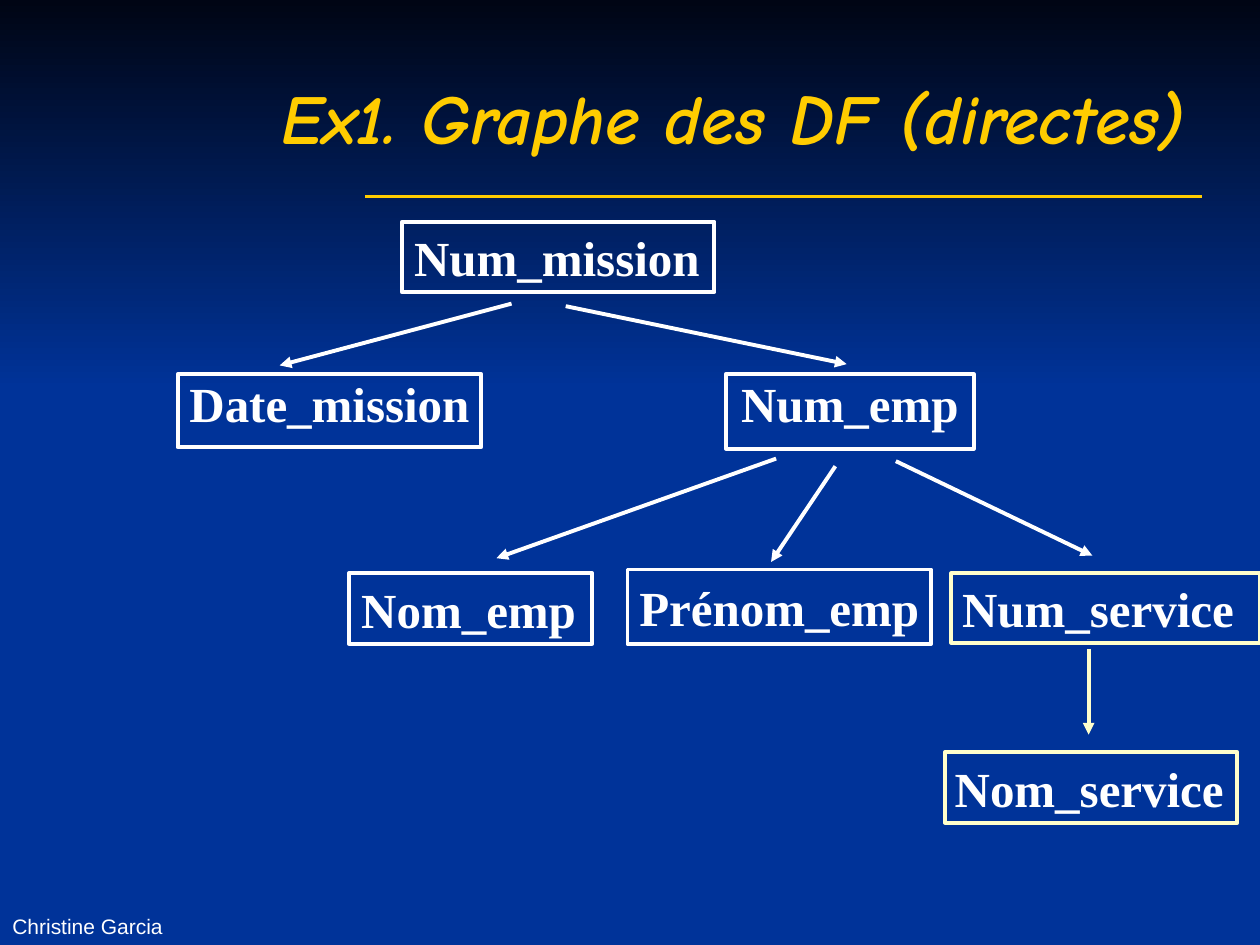
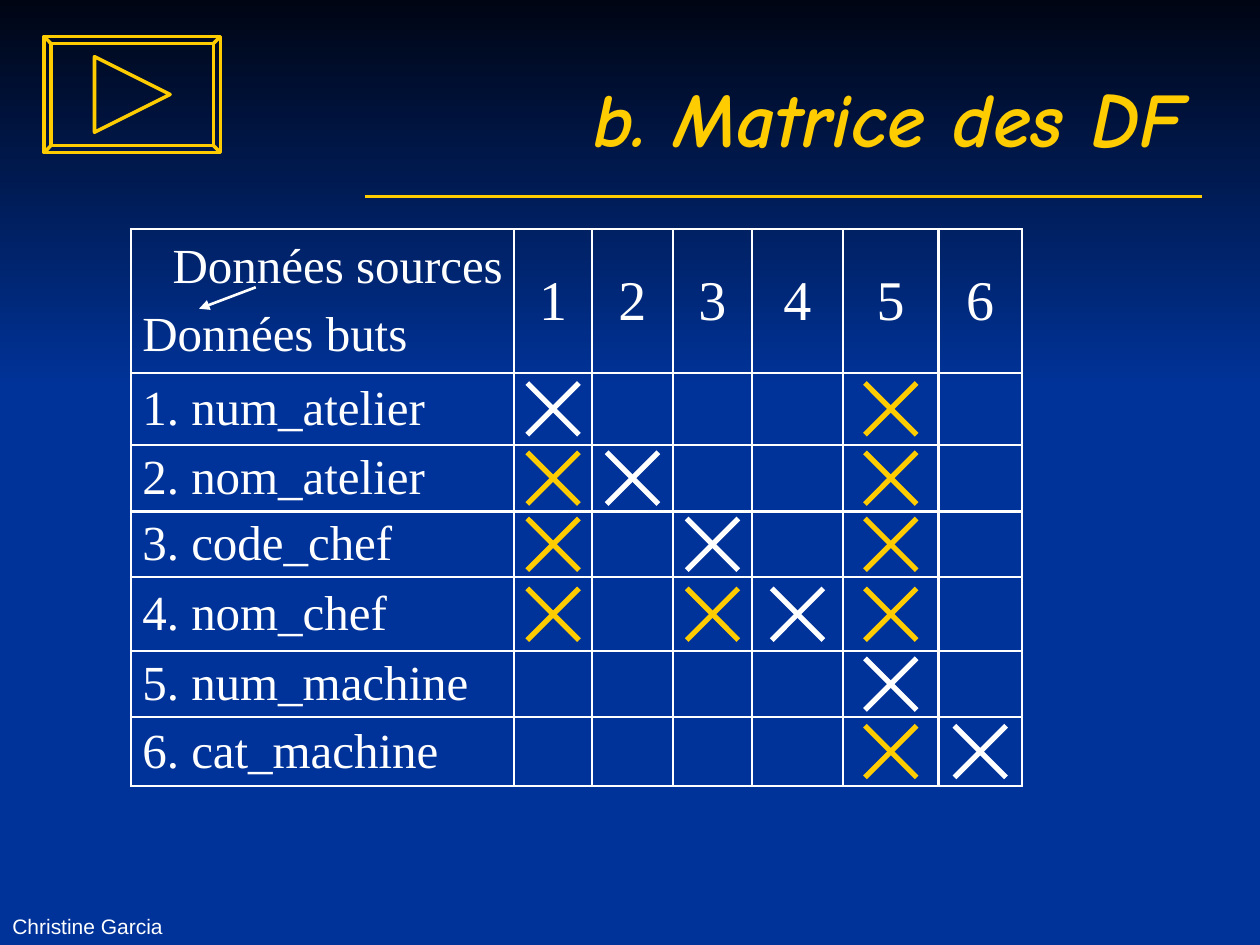
from dataclasses import dataclass
from itertools import accumulate

from lxml.etree import SubElement
from pptx import Presentation
from pptx.dml.color import RGBColor
from pptx.enum.shapes import MSO_CONNECTOR, MSO_SHAPE
from pptx.enum.text import MSO_ANCHOR, PP_ALIGN
from pptx.oxml import parse_xml
from pptx.oxml.ns import nsdecls, qn
from pptx.util import Inches, Pt


@dataclass(frozen=True)
class Theme:
    night: RGBColor = RGBColor(0x00, 0x05, 0x14)
    blue: RGBColor = RGBColor(0x00, 0x33, 0x99)
    gold: RGBColor = RGBColor(0xFF, 0xCC, 0x00)
    cream: RGBColor = RGBColor(0xFF, 0xFF, 0xCC)
    white: RGBColor = RGBColor(0xFF, 0xFF, 0xFF)
    title_font: str = "Comic Neue"
    body_font: str = "Times New Roman"
    footer_font: str = "Arial"
    body_size: int = 28
    number_size: int = 32
    footer_size: int = 12
    rule: float = 2
    graph_line: float = 2.25
    table_line: float = 1.5
    cross_line: float = 3


theme = Theme()

# The slide is a grid of 100 columns by 75 square rows
COLUMNS, ROWS = 100, 75
CELL = Inches(0.1)


def add_line(slide, start, end, color, width, arrow=False):
    ends = [int(v * CELL) for v in (*start, *end)]
    line = slide.shapes.add_connector(MSO_CONNECTOR.STRAIGHT, *ends)
    line.line.color.rgb = color
    line.line.width = Pt(width)
    SubElement(line._element.spPr, qn("a:effectLst"))
    if arrow:
        SubElement(line.line._get_or_add_ln(), qn("a:tailEnd"), type="triangle")


def write(frame, text, font, size, color=theme.white, align=PP_ALIGN.LEFT,
          strong=False, slanted=False):
    for number, words in enumerate(text.split("\n")):
        paragraph = frame.paragraphs[0] if number == 0 else frame.add_paragraph()
        paragraph.text = words
        paragraph.alignment = align
        paragraph.font.name = font
        paragraph.font.size = Pt(size)
        paragraph.font.bold = strong
        paragraph.font.italic = slanted
        paragraph.font.color.rgb = color


prs = Presentation()
prs.slide_width, prs.slide_height = COLUMNS * CELL, ROWS * CELL

# Shared background, band, title, rule and footer
slides = []
for title, title_size in (("Ex1. Graphe des DF (directes)", 40), ("b. Matrice des DF", 44)):
    slide = prs.slides.add_slide(prs.slide_layouts[6])
    slide.background.fill.solid()
    slide.background.fill.fore_color.rgb = theme.blue

    band = slide.shapes.add_shape(MSO_SHAPE.RECTANGLE, 0, 0, prs.slide_width, int(30.9 * CELL))
    band.shadow.inherit = False
    band.line.fill.background()
    band.fill.gradient()
    band.fill.gradient_angle = 270
    for stop, color, position in zip(band.fill.gradient_stops, (theme.night, theme.blue), (0, 1)):
        stop.color.rgb = color
        stop.position = position
    add_line(slide, (29, 15.6), (95.4, 15.6), theme.gold, theme.rule)

    heading = slide.shapes.add_textbox(5 * CELL, 3 * CELL, 90 * CELL, int(12.5 * CELL)).text_frame
    heading.word_wrap = True
    heading.vertical_anchor = MSO_ANCHOR.MIDDLE
    write(heading, title, theme.title_font, title_size, theme.gold, PP_ALIGN.RIGHT, True, True)

    footer = slide.shapes.add_textbox(0, int(69.8 * CELL), int(31.7 * CELL), int(5.2 * CELL)).text_frame
    footer.word_wrap = True
    footer.vertical_anchor = MSO_ANCHOR.BOTTOM
    write(footer, "Christine Garcia", theme.footer_font, theme.footer_size)
    slides.append(slide)

graph_slide, matrix_slide = slides

# Graph: attribute, box, outline, extra right and bottom insets
attributes = [
    ("Num_mission", (31.9, 17.6, 24.8, 5.6), theme.white, 0.2, 0),
    ("Date_mission", (14.1, 29.7, 24.1, 5.8), theme.white, 0, 1.3),
    ("Num_emp", (57.6, 29.7, 19.7, 5.9), theme.white, 0, 1.4),
    ("Nom_emp", (27.7, 45.5, 19.3, 5.6), theme.white, 0.3, 0),
    ("Prénom_emp", (49.8, 45.2, 24.1, 5.9), theme.white, 0, 0),
    ("Num_service", (75.5, 45.5, 24.5, 5.5), theme.cream, 1.2, 0),
    ("Nom_service", (75, 59.7, 23.2, 5.6), theme.cream, 0.3, 0),
]
for attribute, box, outline, right, bottom in attributes:
    node = graph_slide.shapes.add_shape(MSO_SHAPE.RECTANGLE, *[int(v * CELL) for v in box])
    node.shadow.inherit = False
    node.fill.background()
    node.line.color.rgb = outline
    node.line.width = Pt(theme.graph_line)
    label = node.text_frame
    label.word_wrap = False
    label.vertical_anchor = MSO_ANCHOR.MIDDLE
    label.margin_right = int((1 + right) * CELL)
    label.margin_bottom = int((0.5 + bottom) * CELL)
    write(label, attribute, theme.body_font, theme.body_size, align=PP_ALIGN.CENTER, strong=True)

# Graph: direct dependencies
dependencies = [
    ((40.6, 24.1), (22.2, 29), theme.white),
    ((44.9, 24.3), (67.2, 28.9), theme.white),
    ((61.6, 36.4), (39.4, 44.3), theme.white),
    ((66.3, 37), (61.2, 44.6), theme.white),
    ((71.1, 36.6), (86.7, 44.1), theme.white),
    ((86.4, 51.5), (86.4, 58.3), theme.cream),
]
for source, target, color in dependencies:
    add_line(graph_slide, source, target, color, theme.graph_line, arrow=True)

# Matrix: table of source and target data
targets = ["1. num_atelier", "2. nom_atelier", "3. code_chef",
           "4. nom_chef", "5. num_machine", "6. cat_machine"]
column_widths = [30.4, 6.2, 6.4, 6.3, 7.2, 7.6, 6.6]
row_heights = [11.4, 5.7, 5.3, 5.2, 5.9, 5.2, 5.5]
column_edges = list(accumulate(column_widths, initial=10.4))
row_edges = list(accumulate(row_heights, initial=18.2))

matrix = matrix_slide.shapes.add_table(
    len(row_heights), len(column_widths), int(column_edges[0] * CELL), int(row_edges[0] * CELL),
    int(sum(column_widths) * CELL), int(sum(row_heights) * CELL)).table
matrix.first_row = matrix.horz_banding = False
for column, width in zip(matrix.columns, column_widths):
    column.width = int(width * CELL)
for row, height in zip(matrix.rows, row_heights):
    row.height = int(height * CELL)

for r in range(len(row_heights)):
    for c in range(len(column_widths)):
        cell = matrix.cell(r, c)
        cell.fill.background()
        cell.vertical_anchor = MSO_ANCHOR.MIDDLE
        cell.margin_top = cell.margin_bottom = 0
        cell.margin_left = cell.margin_right = int(0.9 * CELL) if c == 0 else 0
        for i, side in enumerate(("lnL", "lnR", "lnT", "lnB")):
            cell._tc.get_or_add_tcPr().insert(i, parse_xml(
                f'<a:{side} {nsdecls("a")} w="{Pt(theme.table_line)}"><a:solidFill>'
                f'<a:srgbClr val="{theme.white}"/></a:solidFill></a:{side}>'))
        if r == 0 and c > 0:
            write(cell.text_frame, str(c), theme.body_font, theme.number_size, align=PP_ALIGN.CENTER)
        elif c == 0:
            label = targets[r - 1] if r else "Données sources\nDonnées buts"
            write(cell.text_frame, label, theme.body_font, theme.body_size)

sources_line, targets_line = matrix.cell(0, 0).text_frame.paragraphs
sources_line.alignment = PP_ALIGN.RIGHT
targets_line.space_before = Pt(8)
add_line(matrix_slide, (20.3, 22.8), (15.8, 24.5), theme.white, theme.table_line, arrow=True)

# Matrix: crosses, white on the diagonal and gold for dependencies
determined_by = {1: (1, 5), 2: (1, 2, 5), 3: (1, 3, 5), 4: (1, 3, 4, 5), 5: (5,), 6: (5, 6)}
REACH = 2.05
for target, sources in determined_by.items():
    y = (row_edges[target] + row_edges[target + 1]) / 2
    for source in sources:
        x = (column_edges[source] + column_edges[source + 1]) / 2
        color = theme.white if source == target else theme.gold
        for slope in (1, -1):
            add_line(matrix_slide, (x - REACH, y - slope * REACH),
                     (x + REACH, y + slope * REACH), color, theme.cross_line)

# Play button
for outline, box, turn in ((MSO_SHAPE.BEVEL, (3.5, 2.9, 14, 9.2), 0),
                           (MSO_SHAPE.ISOSCELES_TRIANGLE, (7.5, 4.5, 6, 6), 90)):
    part = matrix_slide.shapes.add_shape(outline, *[int(v * CELL) for v in box])
    part.shadow.inherit = False
    part.rotation = turn
    part.fill.background()
    part.line.color.rgb = theme.gold
    part.line.width = Pt(theme.rule)
    if outline == MSO_SHAPE.BEVEL:
        part.adjustments[0] = 0.06

prs.save("out.pptx")
